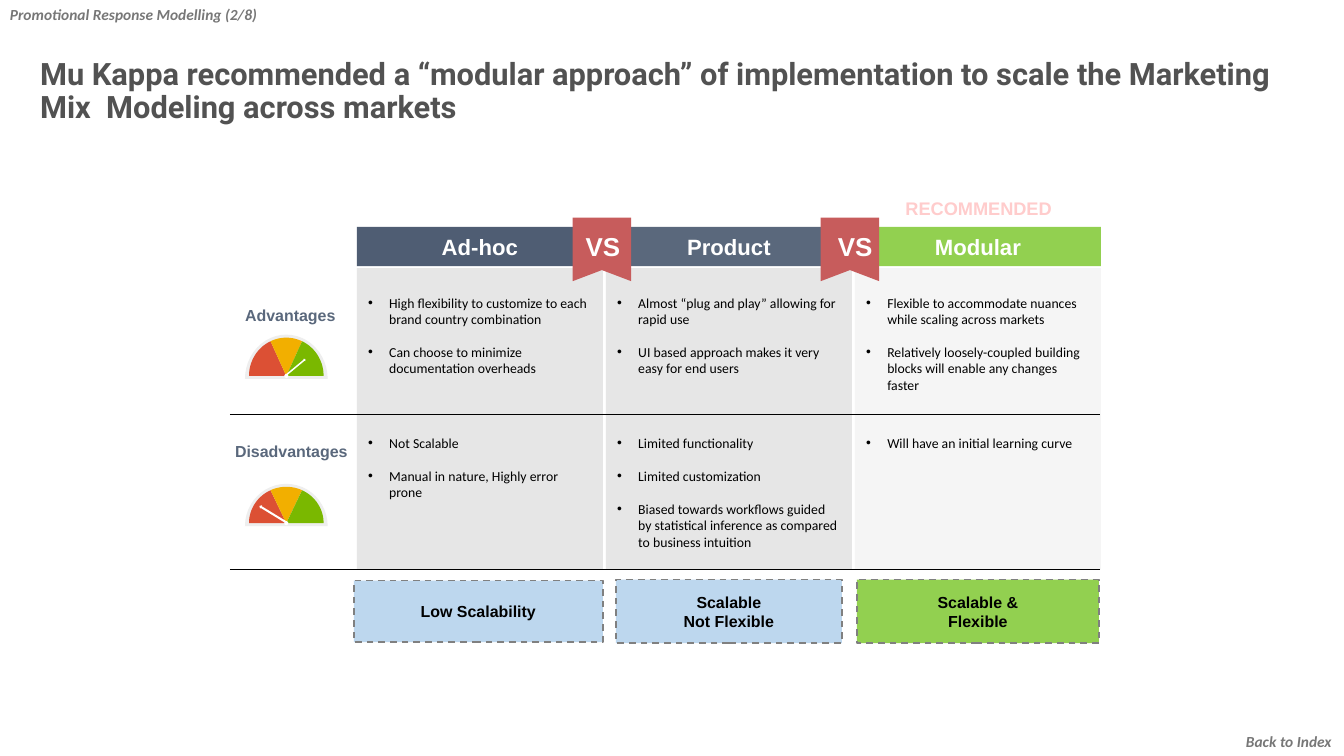
from math import cos, radians, sin

from lxml import etree
from pptx import Presentation
from pptx.dml.color import RGBColor
from pptx.enum.dml import MSO_LINE
from pptx.enum.shapes import MSO_CONNECTOR, MSO_SHAPE as SHAPE
from pptx.enum.text import MSO_ANCHOR as ANCHOR, PP_ALIGN as ALIGN
from pptx.oxml.ns import qn
from pptx.util import Inches, Pt

COLORS = {
    "white": "FFFFFF", "black": "000000", "title": "525252", "note": "777777",
    "navy": "4F5D73", "slate": "5A687C", "lime": "92D050", "grey": "E6E6E6",
    "pale": "F5F5F5", "ribbon": "C75C5C", "sky": "BDD7EE", "dash": "808080",
    "pink": "FFCCCC", "dome": "EEEEEE", "red": "DC5034", "amber": "F2AF00",
    "green": "7AB800",
}
COLORS = {name: RGBColor.from_string(value) for name, value in COLORS.items()}

prs = Presentation()
prs.slide_width, prs.slide_height = Inches(13.33), Inches(7.5)
s = prs.slides.add_slide(prs.slide_layouts[6])


def box(at, lines=(), fill=None, dashed=False, size=11.4, font="Arial", color="black",
        bold=True, italic=False, align=ALIGN.CENTER, anchor=ANCHOR.MIDDLE,
        inset=(0, 0), wrap=True, bullet=False, gap=0, spacing=None):
    at = [Inches(v) for v in at]
    if fill:
        sp = s.shapes.add_shape(SHAPE.RECTANGLE, *at)
        sp.shadow.inherit = False
        sp.fill.solid()
        sp.fill.fore_color.rgb = COLORS[fill]
        sp.line.fill.background()
    else:
        sp = s.shapes.add_textbox(*at)
    if dashed:
        sp.line.color.rgb = COLORS["dash"]
        sp.line.width = Pt(1.2)
        sp.line.dash_style = MSO_LINE.DASH
    tf = sp.text_frame
    tf.word_wrap = wrap
    tf.vertical_anchor = anchor
    tf.margin_left = tf.margin_right = Inches(inset[0])
    tf.margin_top = tf.margin_bottom = Inches(inset[1])
    for i, line in enumerate(lines):
        p = tf.paragraphs[0] if i == 0 else tf.add_paragraph()
        p.alignment = align
        if spacing:
            p.line_spacing = spacing
        if i and gap:
            p.space_before = Pt(gap)
        if bullet:
            pPr = p._p.get_or_add_pPr()
            pPr.set("marL", str(Inches(0.21)))
            pPr.set("indent", str(-Inches(0.21)))
            etree.SubElement(pPr, qn("a:buFont")).set("typeface", "Arial")
            etree.SubElement(pPr, qn("a:buChar")).set("char", "•")
        r = p.add_run()
        r.text = line
        r.font.name, r.font.size = font, Pt(size)
        r.font.bold, r.font.italic = bold, italic
        r.font.color.rgb = COLORS[color]


def outline(points, fill):
    (x, y), *rest = [(Inches(px), Inches(py)) for px, py in points]
    builder = s.shapes.build_freeform(x, y, scale=1.0)
    builder.add_line_segments(rest, close=True)
    sp = builder.convert_to_shape()
    sp.shadow.inherit = False
    sp.fill.solid()
    sp.fill.fore_color.rgb = COLORS[fill]
    sp.line.fill.background()


# Title and corner notes
box((0.3, 0.19, 12.77, 1.45),
    ["Mu Kappa recommended a “modular approach” of implementation to scale the Marketing "
     "Mix  Modeling across markets"],
    size=22, font="Roboto", color="title", align=ALIGN.LEFT, inset=(0.1, 0.05), spacing=0.9)
for at, note in [((0, 0, 2.67, 0.29), "Promotional Response Modelling (2/8)"),
                 ((12.26, 7.21, 1.07, 0.29), "Back to Index")]:
    box(at, [note], fill="white", size=11, font="Calibri", color="note", italic=True,
        align=ALIGN.LEFT, inset=(0.1, 0.05), wrap=False)

# Columns: heading, panel, advantages and disadvantages
columns = [
    ("Ad-hoc", "navy", "grey",
     ["High flexibility to customize to each brand country combination",
      "Can choose to minimize documentation overheads"],
     ["Not Scalable", "Manual in nature, Highly error prone"]),
    ("Product", "slate", "grey",
     ["Almost “plug and play” allowing for rapid use",
      "UI based approach makes it very easy for end users"],
     ["Limited functionality", "Limited customization",
      "Biased towards workflows guided by statistical inference as compared to "
      "business intuition"]),
    ("Modular", "lime", "pale",
     ["Flexible to accommodate nuances while scaling across markets",
      "Relatively loosely-coupled building blocks will enable any changes faster"],
     ["Will have an initial learning curve"]),
]
for i, (heading, head_fill, panel_fill, pros, cons) in enumerate(columns):
    x = 3.54 + 2.47 * i
    box((x, 2.25, 2.44, 0.39), [heading], fill=head_fill, size=15.8, color="white")
    box((x, 2.66, 2.44, 2.99), fill=panel_fill)
    for y, points in [(2.92, pros), (4.31, cons)]:
        box((x + 0.11, y, 2.21, 0.88), points, size=9.8, font="Calibri", bold=False,
            align=ALIGN.LEFT, anchor=ANCHOR.TOP, bullet=True, gap=11.8)
box((8.89, 1.92, 1.63, 0.3), ["RECOMMENDED"], size=13, color="pink",
    anchor=ANCHOR.TOP, inset=(0.08, 0.04), wrap=False)

# VS ribbons
for x, text_x in [(5.68, 5.74), (8.14, 8.24)]:
    outline([(x, 2.16), (x + 0.58, 2.16), (x + 0.58, 2.79), (x + 0.29, 2.68), (x, 2.79)],
            "ribbon")
    box((text_x, 2.34, 0.48, 0.21), ["VS"], size=18.5, color="white", wrap=False)

# Row rules
for y, width in [(4.11, 0.5), (5.65, 1.2)]:
    rule = s.shapes.add_connector(MSO_CONNECTOR.STRAIGHT, Inches(2.28), Inches(y),
                                  Inches(10.91), Inches(y))
    rule.line.color.rgb = COLORS["black"]
    rule.line.width = Pt(width)
    etree.SubElement(rule._element.spPr, qn("a:effectLst"))

# Verdicts
for at, fill, verdict in [
        ((3.51, 5.76, 2.47, 0.61), "sky", ["Low Scalability"]),
        ((6.11, 5.75, 2.24, 0.63), "sky", ["Scalable", "Not Flexible"]),
        ((8.5, 5.75, 2.4, 0.63), "lime", ["Scalable &", "Flexible"])]:
    box(at, verdict, fill=fill, dashed=True)

# Row labels with gauges
hub_x = 2.84
gauges = [
    ("Advantages", (2.4, 2.97, 0.96, 0.31), 3.73, 0.38, (2.8, 3.63, 0.26, 0.03), 320.3),
    ("Disadvantages", (2.28, 4.32, 1.22, 0.31), 5.19, 0.36, (2.55, 5.08, 0.31, 0.04), 211.4),
]
for label, label_at, hub_y, radius, needle_at, angle in gauges:
    box(label_at, [label], color="slate", wrap=False)
    for fill, start, end, rx, ry, y in [
            ("dome", 0, 180, 0.41, radius + 0.06, hub_y + 0.03),
            ("red", 115, 180, 0.37, radius, hub_y),
            ("amber", 65, 115, 0.37, radius, hub_y),
            ("green", 0, 65, 0.37, radius, hub_y)]:
        arc = [radians(start + (end - start) * k / 24) for k in range(25)]
        outline([(hub_x, y)] + [(hub_x + rx * cos(a), y - ry * sin(a)) for a in arc], fill)
    for kind, at, turn in [(SHAPE.OVAL, (hub_x - 0.02, hub_y - 0.02, 0.04, 0.04), 0),
                           (SHAPE.RIGHT_ARROW, needle_at, angle)]:
        sp = s.shapes.add_shape(kind, *[Inches(v) for v in at])
        sp.shadow.inherit = False
        sp.fill.solid()
        sp.fill.fore_color.rgb = COLORS["white"]
        sp.line.fill.background()
        sp.rotation = turn

prs.save("out.pptx")
